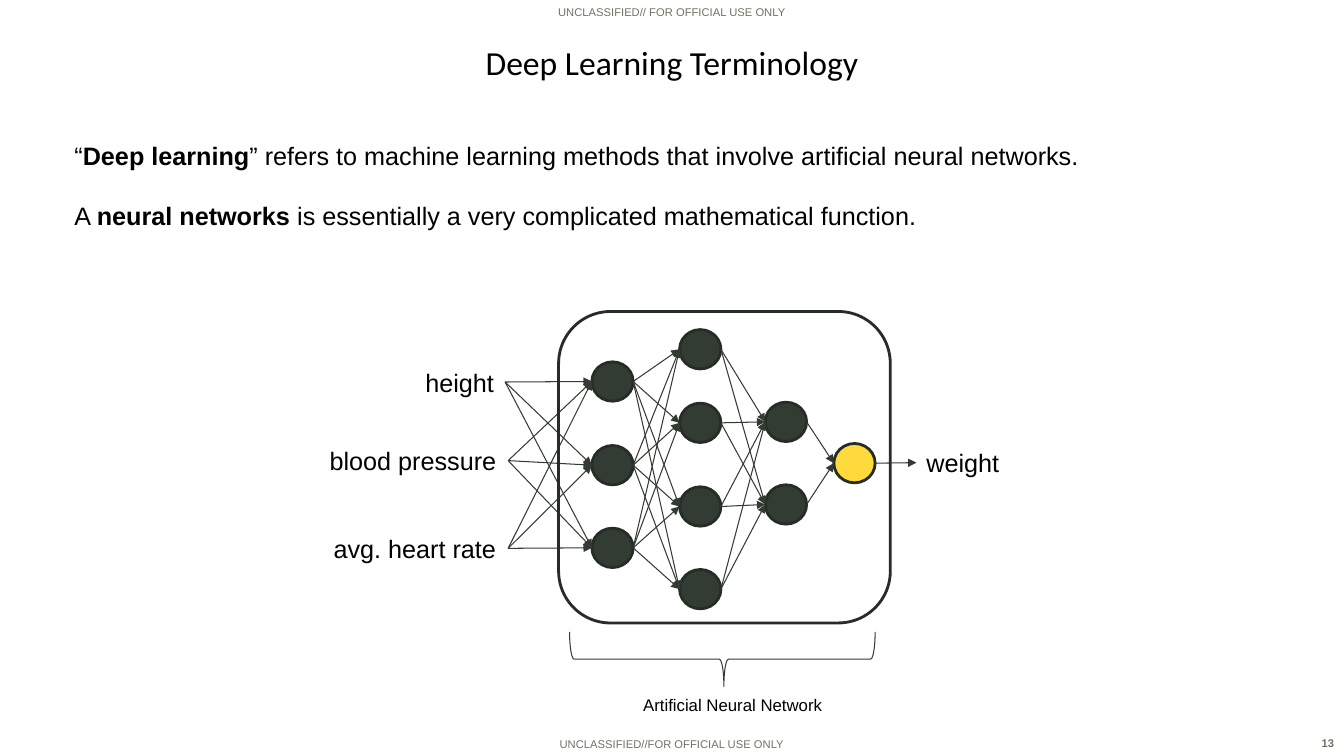
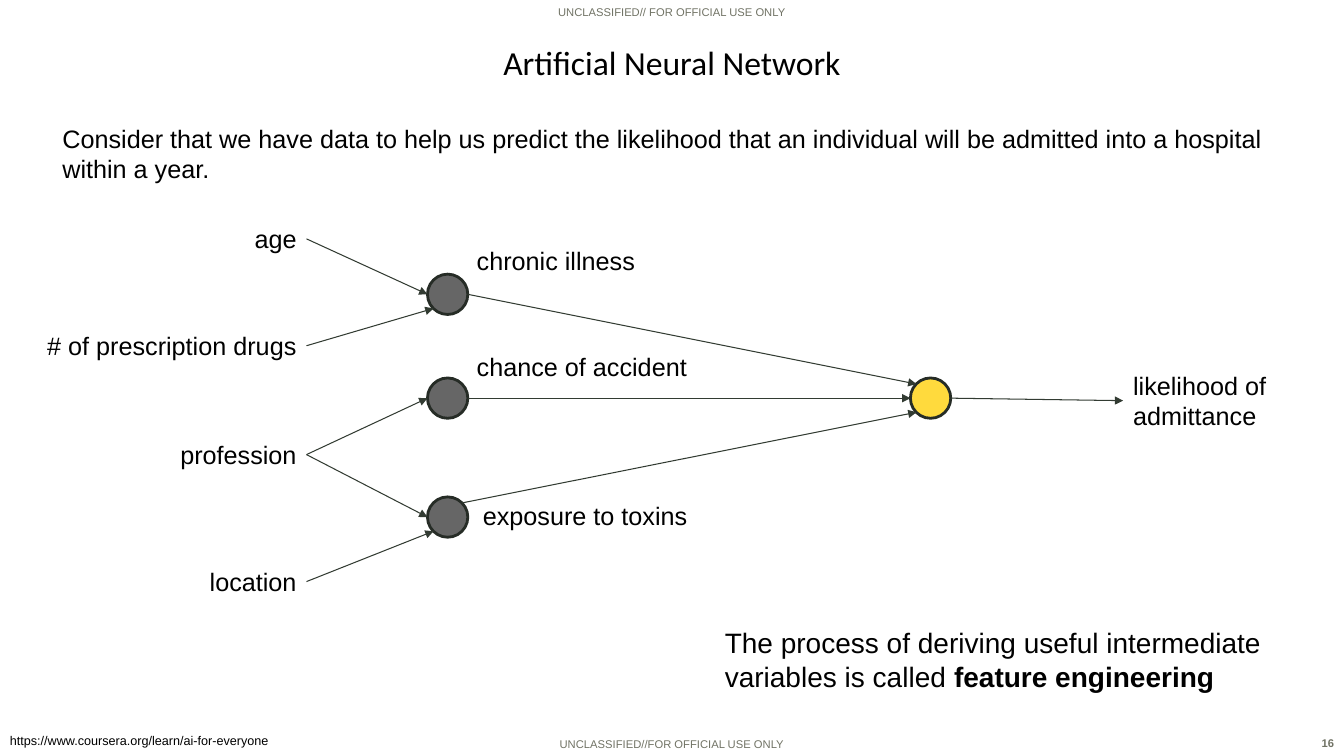
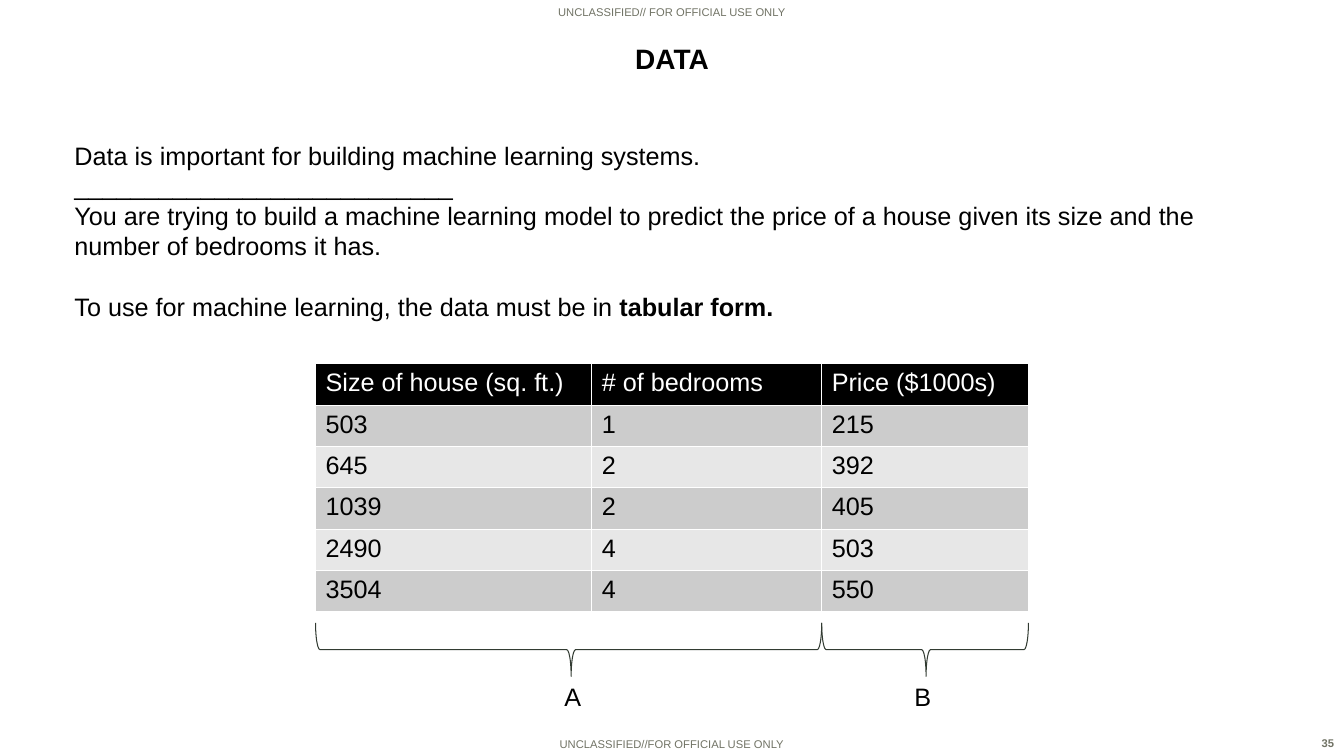
"""Build three slides on deep learning terms, neural networks and tabular data."""
from dataclasses import dataclass
from itertools import pairwise, product

from lxml import etree
from pptx import Presentation
from pptx.dml.color import RGBColor
from pptx.enum.shapes import MSO_CONNECTOR, MSO_SHAPE
from pptx.enum.text import MSO_ANCHOR, MSO_AUTO_SIZE, PP_ALIGN
from pptx.oxml.ns import qn
from pptx.util import Inches, Pt

LEFT, CENTER, RIGHT = PP_ALIGN.LEFT, PP_ALIGN.CENTER, PP_ALIGN.RIGHT
TOP, MIDDLE, BOTTOM = MSO_ANCHOR.TOP, MSO_ANCHOR.MIDDLE, MSO_ANCHOR.BOTTOM
OVAL, ROUNDED, BRACE = MSO_SHAPE.OVAL, MSO_SHAPE.ROUNDED_RECTANGLE, MSO_SHAPE.LEFT_BRACE
STRAIGHT = MSO_CONNECTOR.STRAIGHT
TOP_LAYOUT = 5
SIDE_LEFT, SIDE_RIGHT = 1, 3


@dataclass(frozen=True)
class Theme:
    """Colours, fonts and type sizes."""
    width: float = 13.33
    height: float = 7.5
    font: str = "Arial"
    title_font: str = "Calibri"
    ink: str = "000000"
    white: str = "FFFFFF"
    marking: str = "717365"
    edge: str = "323B32"
    outline: str = "262C26"
    neuron: str = "333C33"
    feature: str = "666666"
    output: str = "FFDA3D"
    bands: tuple = ("E7E7E7", "CCCCCC")
    title: int = 24
    heading: int = 20
    body: int = 18
    caption: int = 12
    source: int = 9
    small: int = 8
    gap: float = 21.6
    thin: float = 0.75
    thick: float = 2


T = Theme()

MARK_TOP = "UNCLASSIFIED// FOR OFFICIAL USE ONLY"
MARK_BOTTOM = "UNCLASSIFIED//FOR OFFICIAL USE ONLY"

TERMS = [
    "“**Deep learning**” refers to machine learning methods that involve artificial neural networks.",
    "A **neural networks **is essentially a very complicated mathematical function.",
]
MEASURES = [("height", 4.12, 3.59, 0.89), ("blood pressure", 3.17, 4.37, 1.87),
            ("avg. heart rate", 3.21, 5.24, 1.83)]
LAYERS = [(5.87, (3.59, 4.42, 5.24)), (6.74, (3.27, 4, 4.83, 5.65)),
          (7.59, (3.99, 4.81)), (8.27, (4.4,))]

HOSPITAL = ["Consider that we have data to help us predict the likelihood that an individual "
            "will be admitted into a hospital within a year."]
FACTORS = [("age", 2.17), ("# of prescription drugs", 3.23), ("profession", 4.31), ("location", 5.57)]
FEATURES = [("chronic illness", 2.72, (4.63, 2.38, 1.84)),
            ("chance of accident", 3.75, (4.63, 3.44, 2.36)),
            ("exposure to toxins", 4.93, (4.69, 4.91, 2.28))]
FACTOR_EDGES = [(0, 0, "left"), (1, 0, "lower left"), (2, 1, "left"),
                (2, 2, "left"), (3, 2, "lower left")]
FEATURE_EDGES = [("right", "upper left"), ("right", "left"), ("upper right", "lower left")]
ENGINEERING = ["The process of deriving useful intermediate variables is called **feature engineering**"]
SOURCE = "https://www.coursera.org/learn/ai-for-everyone"

HOUSE_NOTES = [
    "Data is important for building machine learning systems.",
    "___________________________",
    "You are trying to build a machine learning model to predict the price of a house "
    "given its size and the number of bedrooms it has.",
    "To use for machine learning, the data must be in **tabular form.**",
]
HOUSES = [
    ("Size of house (sq. ft.)", "# of bedrooms", "Price ($1000s)"),
    (503, 1, 215), (645, 2, 392), (1039, 2, 405), (2490, 4, 503), (3504, 4, 550),
]
HOUSE_COLUMNS = (2.74, 2.28, 2.05)
HOUSE_ROW = 0.41

PORTS = {"left": (0, 0.5), "right": (1, 0.5), "upper left": (0.15, 0.15),
         "lower left": (0.15, 0.85), "upper right": (0.85, 0.15)}


def rgb(value):
    """Turn a hex string into a colour."""
    return RGBColor.from_string(value)


def write(frame, paragraphs, size=T.body, color=T.ink, font=T.font, bold=False,
          align=LEFT, anchor=TOP, wrap=True, gaps=(), spacing=None):
    """Write paragraphs, with **bold** parts and gaps before the listed ones."""
    frame.word_wrap = wrap
    frame.auto_size = MSO_AUTO_SIZE.NONE
    frame.vertical_anchor = anchor
    for index, content in enumerate(paragraphs):
        paragraph = frame.paragraphs[0] if index == 0 else frame.add_paragraph()
        paragraph.alignment = align
        if spacing:
            paragraph.line_spacing = spacing
        if index in gaps:
            paragraph.space_before = Pt(T.gap)
        for part, words in enumerate(content.split("**")):
            if words:
                run = paragraph.add_run()
                run.text = words
                run.font.name, run.font.size = font, Pt(size)
                run.font.bold = bold or part % 2 == 1
                run.font.color.rgb = rgb(color)


def text(slide, box, paragraphs, **style):
    """Add a text box; a plain string counts as one paragraph."""
    holder = slide.shapes.add_textbox(*map(Inches, box))
    write(holder.text_frame, [paragraphs] if isinstance(paragraphs, str) else paragraphs, **style)
    return holder


def shape(slide, kind, box, fill=None, line=T.outline, weight=T.thick):
    """Add an outlined preset shape."""
    item = slide.shapes.add_shape(kind, *map(Inches, box))
    item.shadow.inherit = False
    if fill:
        item.fill.solid()
        item.fill.fore_color.rgb = rgb(fill)
    else:
        item.fill.background()
    item.line.color.rgb = rgb(line)
    item.line.width = Pt(weight)
    return item


def brace(slide, left, top, width, height):
    """Add a brace that opens upwards, given its visible box."""
    box = (left + (width - height) / 2, top + (height - width) / 2, height, width)
    item = shape(slide, BRACE, box, line=T.edge, weight=T.thin)
    item.rotation = 270
    item.adjustments[0], item.adjustments[1] = 0.083, 0.505


def port(node, name):
    """Return a point on a circle's rim."""
    across, down = PORTS[name]
    return node.left + int(node.width * across), node.top + int(node.height * down)


def arrow(slide, start, end):
    """Join two points or labels; a label is met at its facing side."""
    from_label, to_label = (not isinstance(place, tuple) for place in (start, end))
    first = (0, 0) if from_label else start
    last = (0, 0) if to_label else end
    link = slide.shapes.add_connector(STRAIGHT, *first, *last)
    if from_label:
        link.begin_connect(start, SIDE_RIGHT)
    if to_label:
        link.end_connect(end, SIDE_LEFT)
    link.line.color.rgb = rgb(T.edge)
    link.line.width = Pt(T.thin)
    etree.SubElement(link.line._get_or_add_ln(), qn("a:tailEnd"), type="triangle")
    etree.SubElement(link._element.spPr, qn("a:effectLst"))


def start_slide(deck, title, number, top=0.37, **style):
    """Add a slide with its title, markings and number."""
    slide = deck.slides.add_slide(deck.slide_layouts[TOP_LAYOUT])
    heading = slide.shapes.title
    heading.left, heading.top, heading.width, heading.height = map(Inches, (0, top, T.width, 0.55))
    write(heading.text_frame, [title], align=CENTER, anchor=MIDDLE, **style)
    small = {"size": T.small, "color": T.marking}
    foot = T.height - 0.24
    text(slide, (0, 0, T.width, 0.24), MARK_TOP, align=CENTER, anchor=BOTTOM, **small)
    text(slide, (2, foot, T.width - 4, 0.24), MARK_BOTTOM, align=CENTER, anchor=BOTTOM, **small)
    text(slide, (T.width - 0.6, foot, 0.6, 0.24), str(number), align=RIGHT, bold=True, **small)
    return slide


def terminology(deck):
    """Draw the network that predicts weight."""
    slide = start_slide(deck, "Deep Learning Terminology", 13,
                        size=T.title, font=T.title_font, spacing=0.9)
    text(slide, (0.64, 1.34, 11.8, 1.2), TERMS, gaps=(1,))
    measures = [text(slide, (left, top, width, 0.4), name, wrap=False)
                for name, left, top, width in MEASURES]
    weight = text(slide, (9.09, 4.39, 0.93, 0.4), "weight", wrap=False)
    layers = [[shape(slide, OVAL, (left, top, 0.41, 0.39),
                     T.output if left == LAYERS[-1][0] else T.neuron) for top in tops]
              for left, tops in LAYERS]
    for measure, neuron in product(measures, layers[0]):
        arrow(slide, measure, port(neuron, "left"))
    for sources, targets in pairwise(layers):
        for source, target in product(sources, targets):
            arrow(slide, port(source, "right"), port(target, "left"))
    arrow(slide, port(layers[-1][0], "right"), weight)
    shape(slide, ROUNDED, (5.54, 3.09, 3.29, 3.09))
    brace(slide, 5.65, 6.27, 3.03, 0.54)
    text(slide, (6.28, 6.84, 1.99, 0.3), "Artificial Neural Network", size=T.caption, wrap=False)


def hospital(deck):
    """Draw the network that predicts hospital admittance."""
    slide = start_slide(deck, "Artificial Neural Network", 16,
                        size=T.title, font=T.title_font, spacing=0.9)
    text(slide, (0.52, 1.17, 12.48, 0.71), HOSPITAL)
    factors = [text(slide, (0.26, top, 2.78, 0.4), name, align=RIGHT) for name, top in FACTORS]
    features = []
    for name, top, place in FEATURES:
        features.append(shape(slide, OVAL, (4.24, top, 0.4, 0.4), T.feature))
        text(slide, (*place, 0.4), name, wrap=False)
    admittance = shape(slide, OVAL, (9.03, 3.75, 0.4, 0.4), T.output)
    likelihood = text(slide, (11.14, 3.62, 1.63, 0.71), "likelihood of admittance")
    for factor, feature, side in FACTOR_EDGES:
        arrow(slide, factors[factor], port(features[feature], side))
    for feature, (leaving, arriving) in zip(features, FEATURE_EDGES):
        arrow(slide, port(feature, leaving), port(admittance, arriving))
    arrow(slide, port(admittance, "right"), likelihood)
    text(slide, (7.09, 6.16, 6.2, 0.77), ENGINEERING, size=T.heading)
    text(slide, (0, 7.22, 2.8, 0.25), SOURCE, size=T.source, wrap=False)


def border(cell):
    """Give a cell thin white borders."""
    properties = cell._tc.get_or_add_tcPr()
    for index, side in enumerate(("lnL", "lnR", "lnT", "lnB")):
        line = etree.Element(qn(f"a:{side}"), w=str(Pt(1)))
        fill = etree.SubElement(line, qn("a:solidFill"))
        etree.SubElement(fill, qn("a:srgbClr"), val=T.white)
        properties.insert(index, line)


def house_data(deck):
    """Show the house prices as a table of inputs A and output B."""
    slide = start_slide(deck, "DATA", 35, top=0.3, size=T.heading, bold=True)
    text(slide, (0.64, 1.34, 11.8, 2.12), HOUSE_NOTES, gaps=(3,))
    left, top = 3.13, 3.61
    total = sum(HOUSE_COLUMNS)
    table = slide.shapes.add_table(len(HOUSES), len(HOUSE_COLUMNS), *map(
        Inches, (left, top, total, HOUSE_ROW * len(HOUSES)))).table
    for column, width in zip(table.columns, HOUSE_COLUMNS):
        column.width = Inches(width)
    for row, values in enumerate(HOUSES):
        for column, value in enumerate(values):
            cell = table.cell(row, column)
            write(cell.text_frame, [str(value)], color=T.ink if row else T.white)
            cell.fill.solid()
            cell.fill.fore_color.rgb = rgb(T.bands[row % 2] if row else T.ink)
            border(cell)
    inputs = sum(HOUSE_COLUMNS[:2])
    for name, start, width, label in (("A", left, inputs, 5.5),
                                      ("B", left + inputs, total - inputs, 8.97)):
        brace(slide, start, 6.18, width, 0.53)
        text(slide, (label, 6.71, 0.43, 0.5), name, wrap=False)


def main():
    """Build and save the deck."""
    deck = Presentation()
    deck.slide_width, deck.slide_height = Inches(T.width), Inches(T.height)
    for build in (terminology, hospital, house_data):
        build(deck)
    deck.save("out.pptx")


if __name__ == "__main__":
    main()
